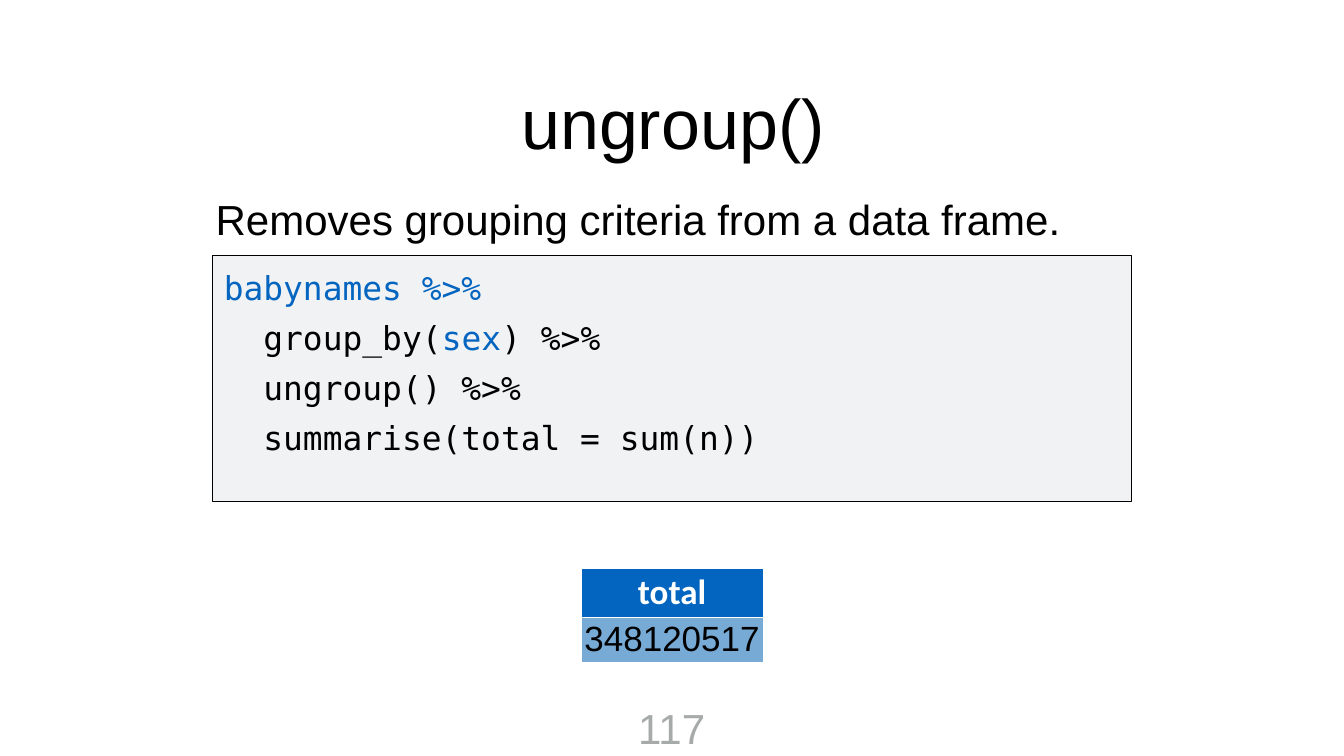
from dataclasses import dataclass

from lxml import etree
from pptx import Presentation
from pptx.dml.color import RGBColor
from pptx.enum import shapes, text
from pptx.oxml import ns
from pptx.util import Cm, Pt

CENTER, LEFT = text.PP_ALIGN.CENTER, text.PP_ALIGN.LEFT
MIDDLE, TOP = text.MSO_ANCHOR.MIDDLE, text.MSO_ANCHOR.TOP


@dataclass(frozen=True)
class Theme:
    body_font: str = "Arial"
    code_font: str = "DejaVu Sans Mono"
    header_font: str = "Calibri"
    title_size: int = 100
    body_size: int = 60
    table_size: int = 50
    code_size: int = 47
    black: str = "000000"
    white: str = "FFFFFF"
    blue: str = "0365C0"
    light_blue: str = "78AAD6"
    panel: str = "F0F2F4"
    gray: str = "A6AAA9"
    inset: float = 0.15


class SlideBuilder:
    def __init__(self, presentation, theme):
        self.theme = theme
        self.slide = presentation.slides.add_slide(presentation.slide_layouts[5])

    def style(self, paragraph, font, size, color, align=LEFT, bold=False):
        paragraph.alignment = align
        paragraph.font.name = font
        paragraph.font.size = Pt(size)
        paragraph.font.bold = bold
        paragraph.font.color.rgb = RGBColor.from_string(color)

    def frame(self, shape, anchor, wrap=True):
        frame = shape.text_frame
        frame.word_wrap = wrap
        frame.auto_size = text.MSO_AUTO_SIZE.NONE
        frame.vertical_anchor = anchor
        inset = Cm(self.theme.inset)
        frame.margin_left = frame.margin_right = inset
        frame.margin_top = frame.margin_bottom = inset
        return frame

    def title(self, content, left, top, width, height):
        shape = self.slide.shapes.title
        shape.left, shape.top = Cm(left), Cm(top)
        shape.width, shape.height = Cm(width), Cm(height)
        paragraph = self.frame(shape, MIDDLE).paragraphs[0]
        paragraph.text = content
        self.style(paragraph, self.theme.body_font, self.theme.title_size,
                   self.theme.black, CENTER)

    def textbox(self, left, top, width, height, anchor, wrap=True):
        shape = self.slide.shapes.add_textbox(Cm(left), Cm(top), Cm(width), Cm(height))
        return self.frame(shape, anchor, wrap)

    def label(self, content, left, top, width, height, color,
              align=LEFT, anchor=MIDDLE, wrap=True):
        paragraph = self.textbox(left, top, width, height, anchor, wrap).paragraphs[0]
        paragraph.text = content
        self.style(paragraph, self.theme.body_font, self.theme.body_size, color, align)

    def panel(self, left, top, width, height):
        shape = self.slide.shapes.add_shape(
            shapes.MSO_SHAPE.RECTANGLE, Cm(left), Cm(top), Cm(width), Cm(height))
        shape.shadow.inherit = False
        shape.fill.solid()
        shape.fill.fore_color.rgb = RGBColor.from_string(self.theme.panel)
        shape.line.color.rgb = RGBColor.from_string(self.theme.black)
        shape.line.width = Pt(1)

    def code(self, lines, left, top, width, height):
        """Each line is a list of (text, color) pieces."""
        frame = self.textbox(left, top, width, height, TOP)
        for index, pieces in enumerate(lines):
            paragraph = frame.add_paragraph() if index else frame.paragraphs[0]
            self.style(paragraph, self.theme.code_font, self.theme.code_size,
                       self.theme.black)
            if index:
                paragraph.space_before = Pt(15)
            for content, color in pieces:
                run = paragraph.add_run()
                run.text = content
                run.font.color.rgb = RGBColor.from_string(color)

    def border(self, cell):
        properties = cell._tc.get_or_add_tcPr()
        for position, side in enumerate(("lnL", "lnR", "lnT", "lnB")):
            line = etree.Element(ns.qn(f"a:{side}"), w=str(Pt(1)))
            fill = etree.SubElement(line, ns.qn("a:solidFill"))
            etree.SubElement(fill, ns.qn("a:srgbClr"), val=self.theme.white)
            properties.insert(position, line)

    def table(self, rows, left, top, width, row_height):
        """Each row is (text, fill, font, color, bold) for its only cell."""
        table = self.slide.shapes.add_table(
            len(rows), 1, Cm(left), Cm(top), Cm(width), Cm(row_height * len(rows))).table
        for index, (content, fill, font, color, bold) in enumerate(rows):
            cell = table.cell(index, 0)
            cell.fill.solid()
            cell.fill.fore_color.rgb = RGBColor.from_string(fill)
            cell.vertical_anchor = MIDDLE
            inset = Cm(self.theme.inset)
            cell.margin_left = cell.margin_right = inset
            cell.margin_top = cell.margin_bottom = inset
            paragraph = cell.text_frame.paragraphs[0]
            paragraph.text = content
            self.style(paragraph, font, self.theme.table_size, color, CENTER, bold)
            self.border(cell)


def main():
    presentation = Presentation()
    presentation.slide_width, presentation.slide_height = Cm(67.74), Cm(38.1)
    theme = Theme()
    builder = SlideBuilder(presentation, theme)
    black, blue = theme.black, theme.blue

    builder.title("ungroup()", 11.18, 2.8, 45.47, 6.65)
    builder.label("Removes grouping criteria from a data frame.",
                  10.72, 9.02, 46.3, 3.96, black)
    builder.panel(10.72, 12.85, 46.28, 12.4)
    builder.code([
        [("babynames %>%", blue)],
        [("  group_by(", black), ("sex", blue), (") %>%", black)],
        [("  ungroup() %>%", black)],
        [("  summarise(total = sum(n))", black)],
    ], 11.13, 13.36, 43.8, 10.97)
    builder.table([
        ("total", blue, theme.header_font, theme.white, True),
        ("348120517", theme.light_blue, theme.body_font, black, False),
    ], 29.29, 28.65, 9.17, 2.24)
    builder.label("117", 31.95, 35.23, 3.81, 2.9, theme.gray, CENTER, TOP, wrap=False)

    presentation.save("out.pptx")


if __name__ == "__main__":
    main()
